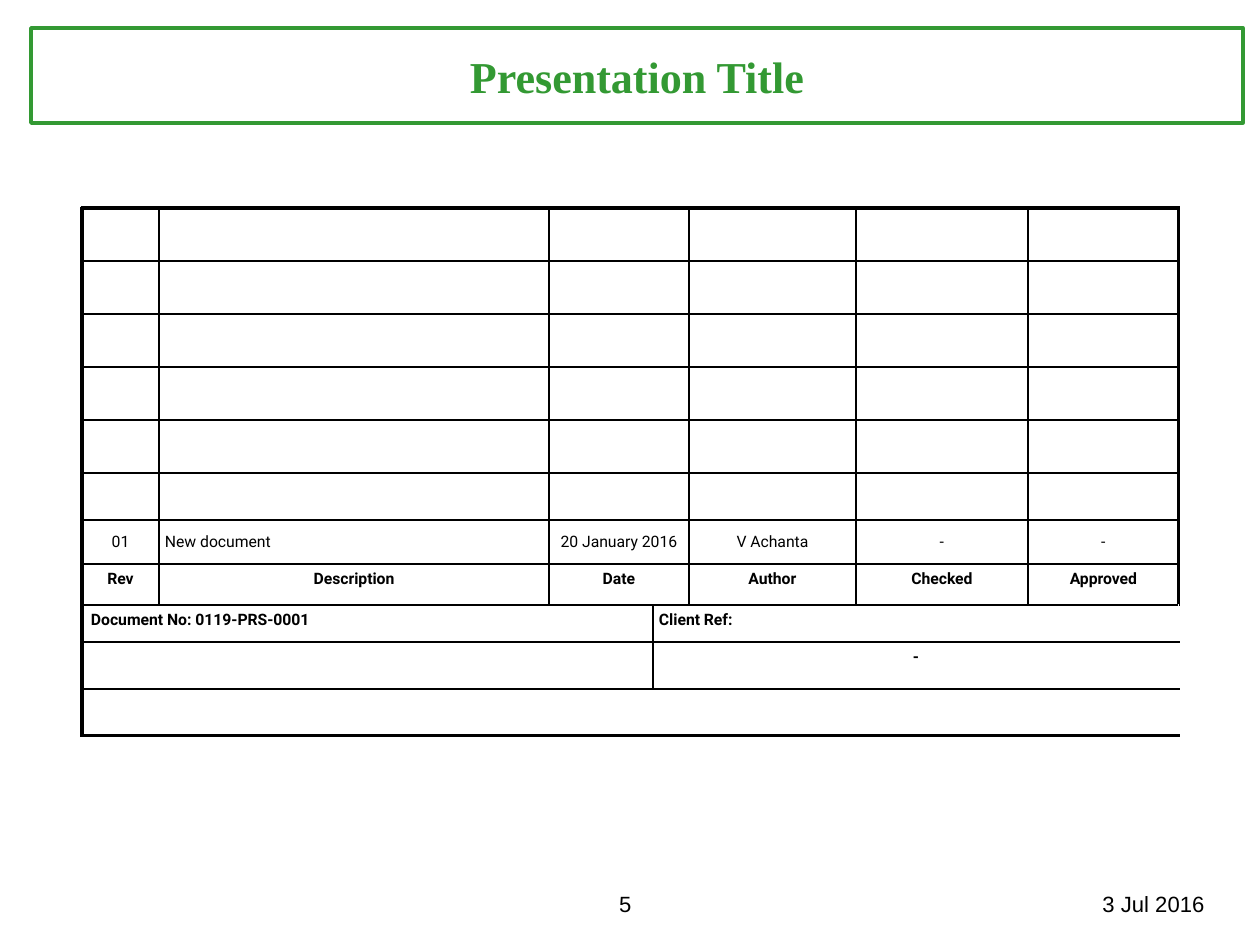
from lxml.etree import SubElement
from pptx import Presentation
from pptx.dml.color import RGBColor
from pptx.enum.text import MSO_ANCHOR as Anchor, MSO_AUTO_SIZE as AutoSize, PP_ALIGN as Align
from pptx.oxml.ns import qn
from pptx.util import Emu, Pt

COLOURS = {"green": "339933", "black": "000000"}
EMU_PER_PX = 8063
TITLE_ONLY = 5


def px(length):
    return Emu(length * EMU_PER_PX)


def colour(name):
    return RGBColor.from_string(COLOURS[name])


class RevisionSlide:
    thin, thick = Pt(1), Pt(2.25)

    def __init__(self, deck):
        self.slide = deck.slides.add_slide(deck.slide_layouts[TITLE_ONLY])

    def style(self, paragraph, font, size, ink="black", bold=False, align=Align.LEFT):
        paragraph.alignment = align
        paragraph.font.name = font
        paragraph.font.size = Pt(size)
        paragraph.font.bold = bold
        paragraph.font.color.rgb = colour(ink)

    def title(self, words, box):
        title = self.slide.shapes.title
        title.left, title.top, title.width, title.height = map(px, box)
        title.line.color.rgb = colour("green")
        title.line.width = self.thick
        frame = title.text_frame
        frame.text = words
        frame.auto_size = AutoSize.NONE
        frame.vertical_anchor = Anchor.MIDDLE
        self.style(frame.paragraphs[0], "Times New Roman", 28, "green", True, Align.CENTER)

    def footer(self, words, box, align=Align.LEFT):
        frame = self.slide.shapes.add_textbox(*map(px, box)).text_frame
        frame.word_wrap = True
        frame.text = words
        self.style(frame.paragraphs[0], "Arial", 14, align=align)

    def table(self, left, top, widths, heights):
        frame = self.slide.shapes.add_table(
            len(heights), len(widths), px(left), px(top), px(sum(widths)), px(sum(heights)))
        table = frame.table
        table.first_row = table.horz_banding = False
        for column, width in zip(table.columns, widths):
            column.width = px(width)
        for row, height in zip(table.rows, heights):
            row.height = px(height)
        return table

    def cell(self, cell, words="", bold=False, align=Align.CENTER, anchor=Anchor.TOP, indent=6):
        cell.text = words
        cell.margin_left = px(indent)
        cell.margin_right = cell.margin_top = cell.margin_bottom = px(6)
        cell.vertical_anchor = anchor
        self.style(cell.text_frame.paragraphs[0], "Roboto", 10, bold=bold, align=align)

    def borders(self, table):
        last_row, last_col = len(table.rows) - 1, len(table.columns) - 1
        for r in range(last_row + 1):
            for c in range(last_col + 1):
                cell = table.cell(r, c)
                joined_right = c < last_col and table.cell(r, c + 1).is_spanned
                # Each side: (drawn, on the outer frame)
                sides = {
                    "L": (not cell.is_spanned, c == 0),
                    "R": (not joined_right, c == last_col),
                    "T": (True, r == 0),
                    "B": (True, r == last_row),
                }
                properties = cell._tc.get_or_add_tcPr()
                for side, (drawn, outer) in sides.items():
                    if drawn:
                        width = self.thick if outer else self.thin
                        line = SubElement(properties, qn(f"a:ln{side}"), w=str(width))
                        fill = SubElement(line, qn("a:solidFill"))
                        SubElement(fill, qn("a:srgbClr"), val=COLOURS["black"])
                cell.fill.background()


def main():
    deck = Presentation()
    deck.slide_width, deck.slide_height = px(1260), px(945)
    page = RevisionSlide(deck)

    page.title("Presentation Title", (31, 28, 1212, 95))

    # Revision table, newest entry lowest
    widths = [77, 390, 104, 36, 167, 172, 151]
    heights = [53] * 5 + [47, 44, 41, 37, 47, 47]
    revisions = page.table(82, 208, widths, heights)
    entry_row, heading_row, document_row, reference_row, closing_row = range(6, 11)
    for r in range(len(heights)):
        for c in range(len(widths)):
            page.cell(revisions.cell(r, c))

    # Merged cells
    spans = [(r, 2, 3) for r in range(document_row)]
    for r in (document_row, reference_row):
        spans += [(r, 0, 2), (r, 3, 6)]
    spans.append((closing_row, 0, 6))
    for r, first, last in spans:
        revisions.cell(r, first).merge(revisions.cell(r, last))

    # Revision entry and column headings
    fields = [
        (0, "Rev", "01"),
        (1, "Description", "New document"),
        (2, "Date", "20 January 2016"),
        (4, "Author", "V Achanta"),
        (5, "Checked", "-"),
        (6, "Approved", "-"),
    ]
    for c, heading, entry in fields:
        align = Align.LEFT if heading == "Description" else Align.CENTER
        page.cell(revisions.cell(entry_row, c), entry, align=align, anchor=Anchor.MIDDLE)
        page.cell(revisions.cell(heading_row, c), heading, bold=True)

    # Document and client references
    page.cell(revisions.cell(document_row, 0), "Document No: 0119-PRS-0001",
              bold=True, align=Align.LEFT, indent=9)
    page.cell(revisions.cell(document_row, 3), "Client Ref:", bold=True, align=Align.LEFT)
    page.cell(revisions.cell(reference_row, 3), "-", bold=True)
    page.borders(revisions)

    # Footer
    page.footer("5", (608, 885, 52, 39))
    page.footer("3 Jul 2016", (1047, 885, 213, 28), Align.CENTER)

    deck.save("out.pptx")


if __name__ == "__main__":
    main()
